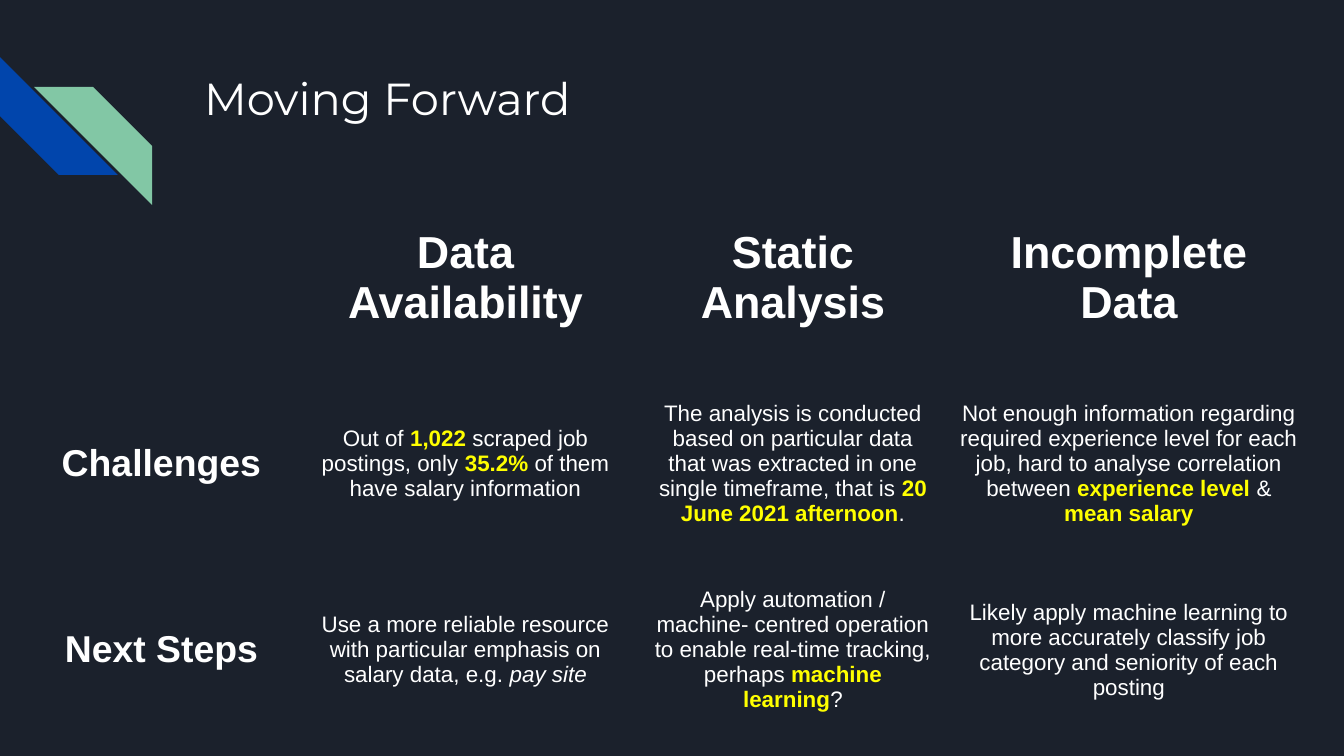
from pptx import Presentation
from pptx.dml.color import RGBColor
from pptx.enum.shapes import MSO_SHAPE
from pptx.enum.text import MSO_ANCHOR, PP_ALIGN
from pptx.oxml.ns import qn
from pptx.util import Emu, Pt
from lxml.etree import SubElement

NIGHT = RGBColor(0x1B, 0x21, 0x2C)
BLUE = RGBColor(0x01, 0x45, 0xAC)
GREEN = RGBColor(0x82, 0xC7, 0xA5)
WHITE = RGBColor(0xFF, 0xFF, 0xFF)
YELLOW = RGBColor(0xFF, 0xFF, 0x00)

INSET = 13
COLS = (261, 347, 308, 364)
PLAIN, KEY, NAME = "plain", "key", "name"
HEADS = ("Data Availability", "Static Analysis", "Incomplete Data")
ROWS = (
    ("Challenges", (
        [("Out of ", PLAIN), ("1,022 ", KEY),
         ("scraped job postings, only ", PLAIN), ("35.2%", KEY),
         (" of them have salary information", PLAIN)],
        [("The analysis is conducted based on particular data that was "
          "extracted in one single timeframe, that is ", PLAIN),
         ("20 June 2021 afternoon", KEY), (".", PLAIN)],
        [("Not enough information regarding required experience level for "
          "each job, hard to analyse correlation between ", PLAIN),
         ("experience level ", KEY), ("& ", PLAIN), ("mean salary", KEY)],
    )),
    ("Next Steps", (
        [("Use a more reliable resource with particular emphasis on salary "
          "data, e.g. ", PLAIN), ("pay site", NAME)],
        [("Apply automation / machine- centred operation to enable real-time "
          "tracking, perhaps ", PLAIN), ("machine learning", KEY),
         ("?", PLAIN)],
        [("Likely apply machine learning to more accurately classify job "
          "category and seniority of each posting", PLAIN)],
    )),
)


def px(n):
    return Emu(round(n * 9144000 / 1344))


def style(font, name, size, bold=False):
    font.name = name
    font.size = Pt(size)
    font.bold = bold
    font.color.rgb = WHITE


def pad(frame):
    frame.margin_left = frame.margin_right = px(INSET)
    frame.margin_top = frame.margin_bottom = px(INSET)


def add_stripes(slide, left, top):
    for dx, dy, turn, color in ((0, 0, 270, BLUE), (34, 30, 90, GREEN)):
        stripe = slide.shapes.add_shape(
            MSO_SHAPE.DIAGONAL_STRIPE, px(left + dx), px(top + dy), px(118), px(118))
        stripe.rotation = turn
        stripe.shadow.inherit = False
        stripe.fill.solid()
        stripe.fill.fore_color.rgb = color
        stripe.line.fill.background()


def add_title(slide, left, top, width, height):
    title = slide.shapes.title
    title.left, title.top = px(left), px(top)
    title.width, title.height = px(width), px(height)
    frame = title.text_frame
    pad(frame)
    frame.vertical_anchor = MSO_ANCHOR.TOP
    frame.text = "Moving Forward"
    line = frame.paragraphs[0]
    line.alignment = PP_ALIGN.LEFT
    style(line.font, "Montserrat", 24)


def clear_cell(cell):
    props = cell._tc.get_or_add_tcPr()
    for side in ("a:lnL", "a:lnR", "a:lnT", "a:lnB"):
        SubElement(SubElement(props, qn(side)), qn("a:noFill"))
    cell.fill.background()
    pad(cell)
    cell.vertical_anchor = MSO_ANCHOR.MIDDLE


def write_cell(cell, runs, size, bold):
    line = cell.text_frame.paragraphs[0]
    line.alignment = PP_ALIGN.CENTER
    style(line.font, "Arial", size, bold)
    for text, kind in runs:
        run = line.add_run()
        run.text = text
        if kind == KEY:
            run.font.bold = True
            run.font.color.rgb = YELLOW
        elif kind == NAME:
            run.font.italic = True


def add_grid(slide, left, top, step):
    count = len(ROWS) + 1
    grid = slide.shapes.add_table(
        count, len(COLS), px(left), px(top), px(sum(COLS)), px(step * count)).table
    grid.first_row = grid.horz_banding = False
    for col, width in zip(grid.columns, COLS):
        col.width = px(width)
    for row in grid.rows:
        row.height = px(step)
    for cell in grid.iter_cells():
        clear_cell(cell)
    for c, head in enumerate(HEADS, 1):
        write_cell(grid.cell(0, c), [(head, PLAIN)], 24, True)
    for r, (label, notes) in enumerate(ROWS, 1):
        write_cell(grid.cell(r, 0), [(label, PLAIN)], 20, True)
        for c, runs in enumerate(notes, 1):
            write_cell(grid.cell(r, c), runs, 12, False)


def main():
    deck = Presentation()
    deck.slide_width, deck.slide_height = px(1344), px(756)
    slide = deck.slides.add_slide(deck.slide_layouts[5])
    slide.background.fill.solid()
    slide.background.fill.fore_color.rgb = NIGHT
    add_stripes(slide, 0, 57)
    add_title(slide, 191, 58, 1035, 134)
    add_grid(slide, 31, 185, 186)
    deck.save("out.pptx")


if __name__ == "__main__":
    main()
